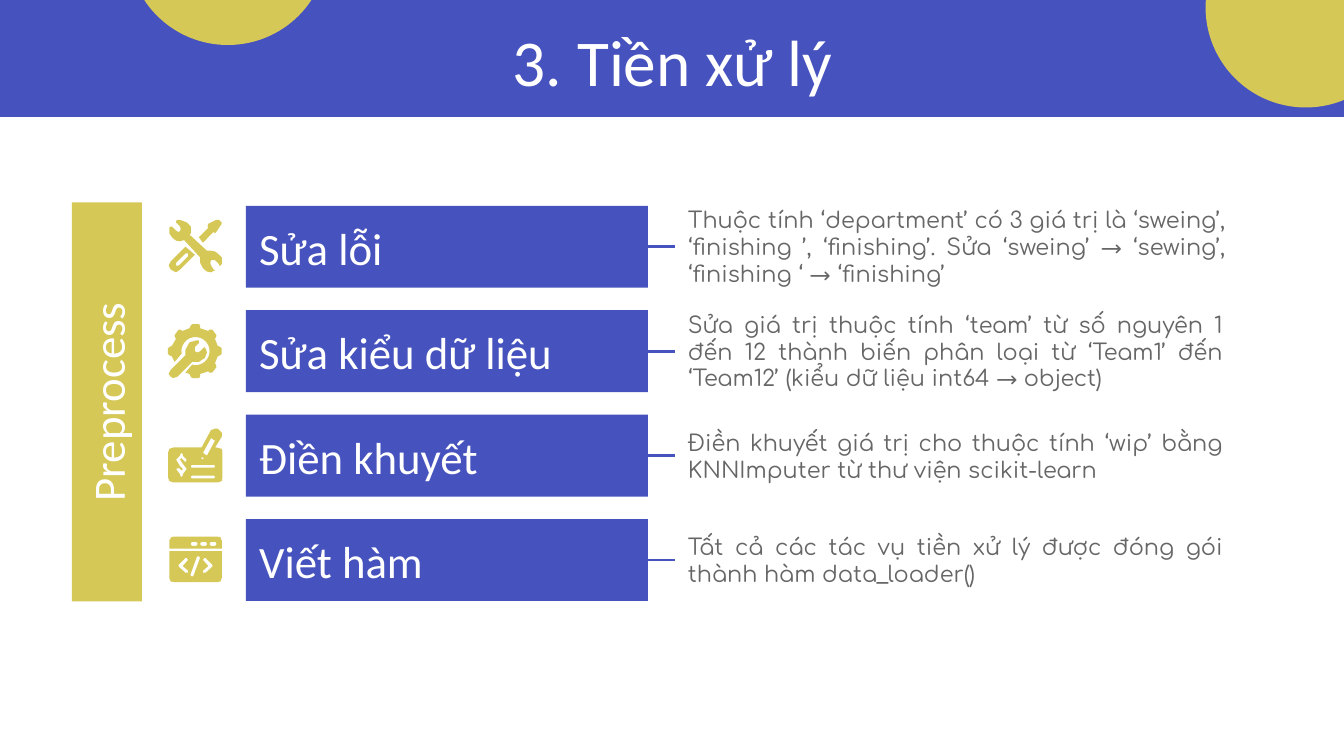
import math
from dataclasses import dataclass

import lxml.etree
import pptx
import pptx.dml.color
import pptx.enum.shapes
import pptx.enum.text
import pptx.oxml.ns
import pptx.util

ALIGN = pptx.enum.text.PP_ALIGN
ANCHOR = pptx.enum.text.MSO_ANCHOR
PRESET = pptx.enum.shapes.MSO_SHAPE
Contour = list[tuple[float, float]]
Icon = list[list[Contour]]  # pieces, each an outline followed by its holes


@dataclass(frozen=True)
class Theme:
    blue: str = "4652BE"
    yellow: str = "D5C857"
    white: str = "FFFFFF"
    grey: str = "666666"
    heading_font: str = "Calibri"
    body_font: str = "Comfortaa"
    title_size: float = 35
    label_size: float = 24
    body_size: float = 12
    rule_width: float = 1.5


@dataclass(frozen=True)
class Box:
    """A frame in grid cells; the slide is 100 columns wide and 56.25 rows high."""
    left: float
    top: float
    width: float
    height: float

    def emu(self) -> list[int]:
        return [cells(n) for n in (self.left, self.top, self.width, self.height)]


@dataclass(frozen=True)
class Step:
    label: str
    detail: str
    icon: Icon
    detail_width: float = 41.8


THEME = Theme()
COLUMNS, ROWS = 100, 56.25
FIRST_CENTRE, STEP_PITCH = 18.36, 7.77
ICON_LEFT, ICON_SIZE = 12.5, 4
BAR_LEFT, BAR_WIDTH, BAR_HEIGHT = 18.3, 29.9, 6.1
DETAIL_LEFT, DETAIL_HEIGHT = 50.2, 7.8
BALL = 14.9


def cells(count: float) -> int:
    return pptx.util.Inches(count / 10)


def rgb(colour: str) -> pptx.dml.color.RGBColor:
    return pptx.dml.color.RGBColor.from_string(colour)


def arc(cx: float, cy: float, radius: float, start: int, end: int) -> Contour:
    return [(cx + radius * math.cos(math.radians(a)), cy + radius * math.sin(math.radians(a)))
            for a in range(start, end + 1, 15)]


def capsule(x1: float, y1: float, x2: float, y2: float, width: float) -> Contour:
    """A thick line with round ends."""
    turn = round(math.degrees(math.atan2(y2 - y1, x2 - x1)))
    return (arc(x2, y2, width / 2, turn - 90, turn + 90)
            + arc(x1, y1, width / 2, turn + 90, turn + 270))


# Icon points are tenths of a grid cell, on a 40 by 40 field.
TOOLS: Icon = [
    [[(9, 0), (7, 0), (6, 1), (6, 2), (9, 5), (9.5, 7), (9, 8.5), (7.5, 9), (6, 8), (3, 5), (2, 5),
      (1, 6), (1, 10), (3, 13), (6, 15.5), (9, 16), (12, 15), (24, 28), (24, 32), (26, 36),
      (29, 38.5), (32, 39), (34, 38), (35, 38), (34, 37), (32, 34), (31.5, 32), (32, 30), (33, 30),
      (35, 30), (38, 33), (38, 34), (39, 34), (40, 33), (40, 28), (37, 25), (35, 23.5), (32, 23),
      (29, 23), (16, 11), (17, 10), (17, 5), (14, 2)]],
    [[(13, 20), (2, 31), (0.5, 34), (2, 37), (6, 39), (9, 37), (20, 26)],
     [(14, 25), (15, 25), (15, 27), (8, 34), (6, 34), (6, 32), (13, 25)]],
    [[(37, 0), (36, 0), (30, 3), (29.5, 5), (30, 6), (23, 13), (26, 17), (34, 9), (35, 10), (36, 9),
      (40, 3), (40, 2), (38, 0)]],
]
GEAR: Icon = [
    [[(18, 0), (17, 1), (16, 3), (11, 5), (9, 4), (8, 4), (5, 8), (5, 9), (6, 11), (3, 16), (1, 17),
      (0, 18), (0, 22), (1, 23), (3, 24), (5, 28)]
     + arc(20.5, 20, 10.5, 170, 465)
     + [(18, 30), (13, 36), (16, 37), (17, 39), (18, 40), (23, 40), (24, 39), (24, 37), (30, 35),
        (31, 36), (33, 36), (36, 32), (36, 31), (35, 29), (37, 24), (39, 23), (40, 22), (40, 18),
        (39, 17), (37, 16), (35, 11), (36, 9), (36, 8), (33, 4), (31, 4), (30, 5), (24, 3),
        (24, 1), (23, 0)]],
    [[(21, 12), (16, 13.5), (13, 19), (13, 23), (2, 34), (0.5, 37), (2, 39), (4, 40), (7, 39),
      (18, 28), (23, 28), (27.5, 25), (29, 21), (28, 18), (27, 17), (26, 18), (24, 20), (22, 21),
      (20, 20), (20, 17), (23, 14), (23, 12)]],
]
CHEQUE: Icon = [
    [[(35, 0), (32, 1), (25, 14), (4, 14), (1, 15), (0, 18), (0, 36), (1, 39), (4, 40), (37, 40),
      (40, 39), (40.5, 36), (40.5, 18), (40, 15), (36, 14), (35, 14), (40, 6), (40, 3), (39, 2),
      (37, 0)],
     [(32, 7), (35, 9), (29, 20), (26, 18)],
     [(25, 21), (27, 22), (25, 23)],
     [(10, 18), (11, 19), (11, 20), (14, 23), (13, 25), (11, 23), (10, 22), (9, 23), (11, 26),
      (14, 30), (11, 34), (11, 35), (10, 36), (9, 35), (9, 34), (6, 30), (8, 29), (9, 30),
      (10, 31), (11, 30), (9, 28), (6, 23), (9, 20), (9, 19)],
     *(capsule(18, y, 34, y, 2) for y in (28, 36))],
]
CHEVRON: Contour = [(14, 18.5), (15, 20), (11, 24.5), (15, 28), (15, 29.5), (13, 29.5), (8, 25),
                    (8, 23.5), (13, 18.5)]
CODE: Icon = [
    [[(1, 11.5), (1, 5.5), (2.5, 3), (5, 2.5), (36, 2.5), (39, 3), (40, 5.5), (40, 11.5)],
     *(capsule(x, 8, x + 2, 8, 3) for x in (18.5, 25.5, 32.5))],
    [[(1, 13.5), (40, 13.5), (40, 33.5), (39, 36), (36.5, 36.5), (5, 36.5), (2, 36), (1, 33.5)],
     CHEVRON, [(41 - x, y) for x, y in CHEVRON], capsule(22.5, 18.5, 18, 31, 2.5)],
]
STEPS = [
    Step("Sửa lỗi", "Thuộc tính ‘department’ có 3 giá trị là ‘sweing’, ‘finishing ’, ‘finishing’. "
         "Sửa ‘sweing’ → ‘sewing’, ‘finishing ‘ → ‘finishing’", TOOLS, detail_width=42),
    Step("Sửa kiểu dữ liệu", "Sửa giá trị thuộc tính ‘team’ từ số nguyên 1 đến 12 thành biến "
         "phân loại từ ‘Team1’ đến ‘Team12’ (kiểu dữ liệu int64 → object)", GEAR),
    Step("Điền khuyết", "Điền khuyết giá trị cho thuộc tính ‘wip’ bằng KNNImputer "
         "từ thư viện scikit-learn", CHEQUE),
    Step("Viết hàm", "Tất cả các tác vụ tiền xử lý được đóng gói thành hàm data_loader()", CODE),
]


def paint(shape, colour: str) -> None:
    shape.shadow.inherit = False
    shape.fill.solid()
    shape.fill.fore_color.rgb = rgb(colour)
    shape.line.fill.background()


def add_block(slide, preset, box: Box, colour: str):
    block = slide.shapes.add_shape(preset, *box.emu())
    paint(block, colour)
    return block


def write(shape, text: str, size: float, colour: str, align, anchor,
          font: str = THEME.heading_font) -> None:
    frame = shape.text_frame
    frame.text = text
    frame.word_wrap = True
    frame.auto_size = pptx.enum.text.MSO_AUTO_SIZE.NONE
    frame.vertical_anchor = anchor
    frame.margin_left = frame.margin_right = frame.margin_top = frame.margin_bottom = cells(1)
    frame.paragraphs[0].alignment = align
    run = frame.paragraphs[0].runs[0].font
    run.name, run.size, run.color.rgb = font, pptx.util.Pt(size), rgb(colour)


def add_icon(slide, icon: Icon, left: float, top: float) -> None:
    for piece in icon:
        outline, *holes = [[(cells(x / 10), cells(y / 10)) for x, y in c] for c in piece]
        builder = slide.shapes.build_freeform(*outline[0])
        builder.add_line_segments(outline[1:], close=True)
        for hole in holes:
            builder.move_to(*hole[0])
            builder.add_line_segments(hole[1:], close=True)
        paint(builder.convert_to_shape(cells(left), cells(top)), THEME.yellow)


def add_rule(slide, start: float, end: float, row: float) -> None:
    rule = slide.shapes.add_connector(pptx.enum.shapes.MSO_CONNECTOR.STRAIGHT,
                                      cells(start), cells(row), cells(end), cells(row))
    rule.line.color.rgb = rgb(THEME.blue)
    rule.line.width = pptx.util.Pt(THEME.rule_width)
    lxml.etree.SubElement(rule.element.spPr, pptx.oxml.ns.qn("a:effectLst"))


def add_header(slide, text: str) -> None:
    add_block(slide, PRESET.RECTANGLE, Box(0, 0, COLUMNS, 8.7), THEME.blue)
    for left, top in ((89.7, -6.9), (9.5, -11.55)):
        add_block(slide, PRESET.OVAL, Box(left, top, BALL, BALL), THEME.yellow)
    title = slide.shapes.title
    title.left, title.top, title.width, title.height = Box(7.9, 0.6, 84.3, 6.3).emu()
    write(title, text, THEME.title_size, THEME.white, ALIGN.CENTER, ANCHOR.TOP)
    title.element.getparent().append(title.element)  # in front of the band


def add_step(slide, step: Step, centre: float) -> None:
    bar = add_block(slide, PRESET.RECTANGLE,
                    Box(BAR_LEFT, centre - BAR_HEIGHT / 2, BAR_WIDTH, BAR_HEIGHT), THEME.blue)
    write(bar, step.label, THEME.label_size, THEME.white, ALIGN.LEFT, ANCHOR.BOTTOM)
    detail = slide.shapes.add_textbox(
        *Box(DETAIL_LEFT, centre - DETAIL_HEIGHT / 2, step.detail_width, DETAIL_HEIGHT).emu())
    write(detail, step.detail, THEME.body_size, THEME.grey, ALIGN.JUSTIFY, ANCHOR.MIDDLE,
          THEME.body_font)
    add_rule(slide, BAR_LEFT + BAR_WIDTH, DETAIL_LEFT, centre)
    add_icon(slide, step.icon, ICON_LEFT, centre - ICON_SIZE / 2)


deck = pptx.Presentation()
deck.slide_width, deck.slide_height = cells(COLUMNS), cells(ROWS)
preprocessing = deck.slides.add_slide(deck.slide_layouts.get_by_name("Title Only"))
add_header(preprocessing, "3. Tiền xử lý")
stage = add_block(preprocessing, PRESET.RECTANGLE, Box(-6.9, 27.3, 29.7, 5.2), THEME.yellow)
stage.rotation = 270
write(stage, "Preprocess", THEME.label_size, THEME.white, ALIGN.CENTER, ANCHOR.MIDDLE)
for index, step in enumerate(STEPS):
    add_step(preprocessing, step, FIRST_CENTRE + index * STEP_PITCH)
deck.save("out.pptx")
